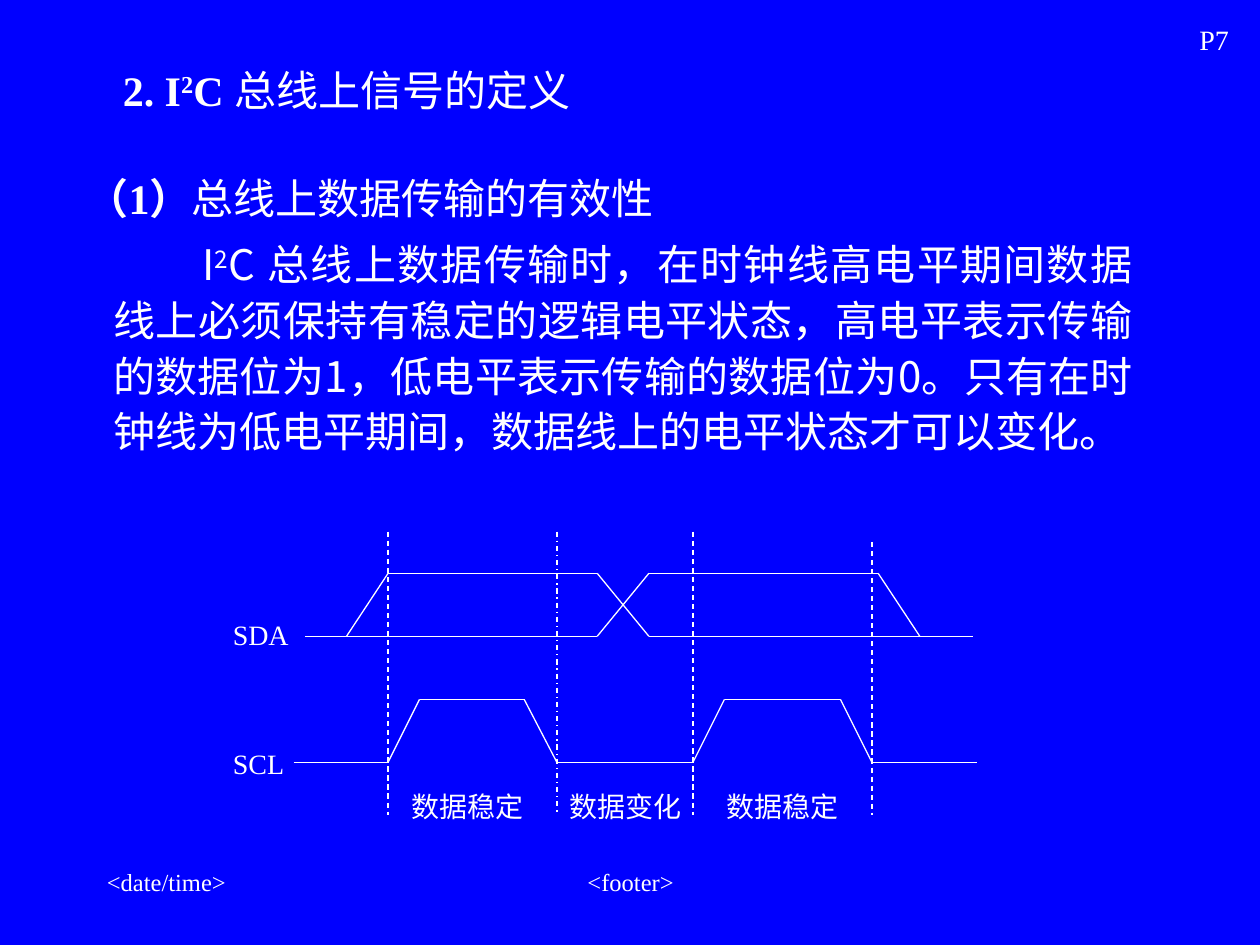
from itertools import pairwise

from lxml.etree import SubElement
from pptx import Presentation
from pptx.dml.color import RGBColor
from pptx.enum.dml import MSO_LINE
from pptx.enum.shapes import MSO_CONNECTOR
from pptx.enum.text import MSO_ANCHOR, PP_ALIGN
from pptx.oxml.ns import qn
from pptx.util import Inches, Pt

COLORS = {"background": "0000FF", "ink": "FFFFFF"}
LATIN = "Times New Roman"
CHINESE = "Noto Sans CJK SC"


def add_box(page, left, top, width, height, anchor=MSO_ANCHOR.TOP):
    box = page.shapes.add_textbox(Inches(left), Inches(top), Inches(width), Inches(height))
    box.text_frame.word_wrap = True
    box.text_frame.vertical_anchor = anchor
    return box.text_frame


def add_span(para, text, size=24, font=LATIN, bold=False, raised=False):
    span = para.add_run()
    span.text = text
    span.font.size = Pt(size)
    span.font.name = font
    span.font.bold = bold
    span.font.color.rgb = RGBColor.from_string(COLORS["ink"])
    properties = span.font._element
    SubElement(properties, qn("a:ea")).set("typeface", CHINESE)
    if raised:
        properties.set("baseline", "30000")


def add_label(page, text, left, top, width, height=0.37, size=16, align=PP_ALIGN.LEFT):
    para = add_box(page, left, top, width, height).paragraphs[0]
    para.alignment = align
    add_span(para, text, size=size)


def add_line(page, start, end, dash=None):
    points = [Inches(value) for value in (*start, *end)]
    line = page.shapes.add_connector(MSO_CONNECTOR.STRAIGHT, *points)
    line.line.color.rgb = RGBColor.from_string(COLORS["ink"])
    line.line.width = Pt(0.75)
    if dash:
        line.line.dash_style = dash
    SubElement(line._element.spPr, qn("a:effectLst"))


def add_title(page, left, top, width, height):
    para = add_box(page, left, top, width, height, MSO_ANCHOR.MIDDLE).paragraphs[0]
    para.alignment = PP_ALIGN.CENTER
    add_span(para, "2. I", bold=True)
    add_span(para, "2", bold=True, raised=True)
    add_span(para, "C ", bold=True)
    add_span(para, "总线上信号的定义")


def add_body(page, left, top, width, height):
    frame = add_box(page, left, top, width, height)
    heading, detail = frame.paragraphs[0], frame.add_paragraph()
    for para, indent in ((heading, -0.21), (detail, 0.71)):
        para.line_spacing = Pt(31.8)
        properties = para._p.get_or_add_pPr()
        properties.set("marL", str(Inches(0.38)))
        properties.set("indent", str(Inches(indent)))
    add_span(heading, "（1）", bold=True)
    add_span(heading, "总线上数据传输的有效性", font=CHINESE)
    detail.space_before = Pt(6)
    detail.alignment = PP_ALIGN.JUSTIFY
    add_span(detail, "I", font=CHINESE)
    add_span(detail, "2", font=CHINESE, raised=True)
    add_span(
        detail,
        "C 总线上数据传输时，在时钟线高电平期间数据线上必须保持有稳定的逻辑电平状态，"
        "高电平表示传输的数据位为1，低电平表示传输的数据位为0。"
        "只有在时钟线为低电平期间，数据线上的电平状态才可以变化。",
        font=CHINESE,
    )


def add_timing_diagram(page, left, top):
    def place(x, y):
        return left + x, top + y

    dash, dash_dot = MSO_LINE.DASH, MSO_LINE.DASH_DOT
    guides = ((1.33, 0, dash), (2.67, 0, dash_dot), (3.75, 0, dash), (5.17, 0.08, dash))
    for x, start, style in guides:
        add_line(page, place(x, start), place(x, 2.25), style)

    data_high, data_low = 0.33, 0.83
    clock_high, clock_low = 1.33, 1.83
    falling_data = [(1, data_low), (1.33, data_high), (2.99, data_high),
                    (3.4, data_low), (5.97, data_low)]
    rising_data = [(0.67, data_low), (2.99, data_low), (3.4, data_high),
                   (5.22, data_high), (5.55, data_low)]
    clock = [(0.58, clock_low), (1.33, clock_low), (1.58, clock_high),
             (2.41, clock_high), (2.67, clock_low), (3.75, clock_low),
             (4, clock_high), (4.92, clock_high), (5.17, clock_low), (6, clock_low)]
    for wave in (falling_data, rising_data, clock):
        for start, end in pairwise(wave):
            add_line(page, place(*start), place(*end))

    labels = (("SDA", 0, 0.63, 0.83), ("SCL", 0, 1.66, 0.75), ("数据稳定", 1.42, 2, 1.17),
              ("数据变化", 2.67, 2, 1.25), ("数据稳定", 3.92, 2, 1.17))
    for text, x, y, width in labels:
        add_label(page, text, *place(x, y), width)


def add_footer(page, left, top):
    add_label(page, "<date/time>", left, top, 2.08, 0.5, size=14)
    add_label(page, "<footer>", left + 2.67, top, 3.17, 0.5, size=14, align=PP_ALIGN.CENTER)


def main():
    deck = Presentation()
    deck.slide_width, deck.slide_height = Inches(10), Inches(7.5)
    page = deck.slides.add_slide(deck.slide_layouts[6])
    page.background.fill.solid()
    page.background.fill.fore_color.rgb = RGBColor.from_string(COLORS["background"])
    add_footer(page, 0.75, 6.83)
    add_title(page, 0.75, 0.5, 4, 0.42)
    add_body(page, 0.42, 1.28, 8.67, 2.42)
    add_timing_diagram(page, 1.75, 4.22)
    add_label(page, "P7", 9.42, 0.13, 0.58)
    deck.save("out.pptx")


if __name__ == "__main__":
    main()
